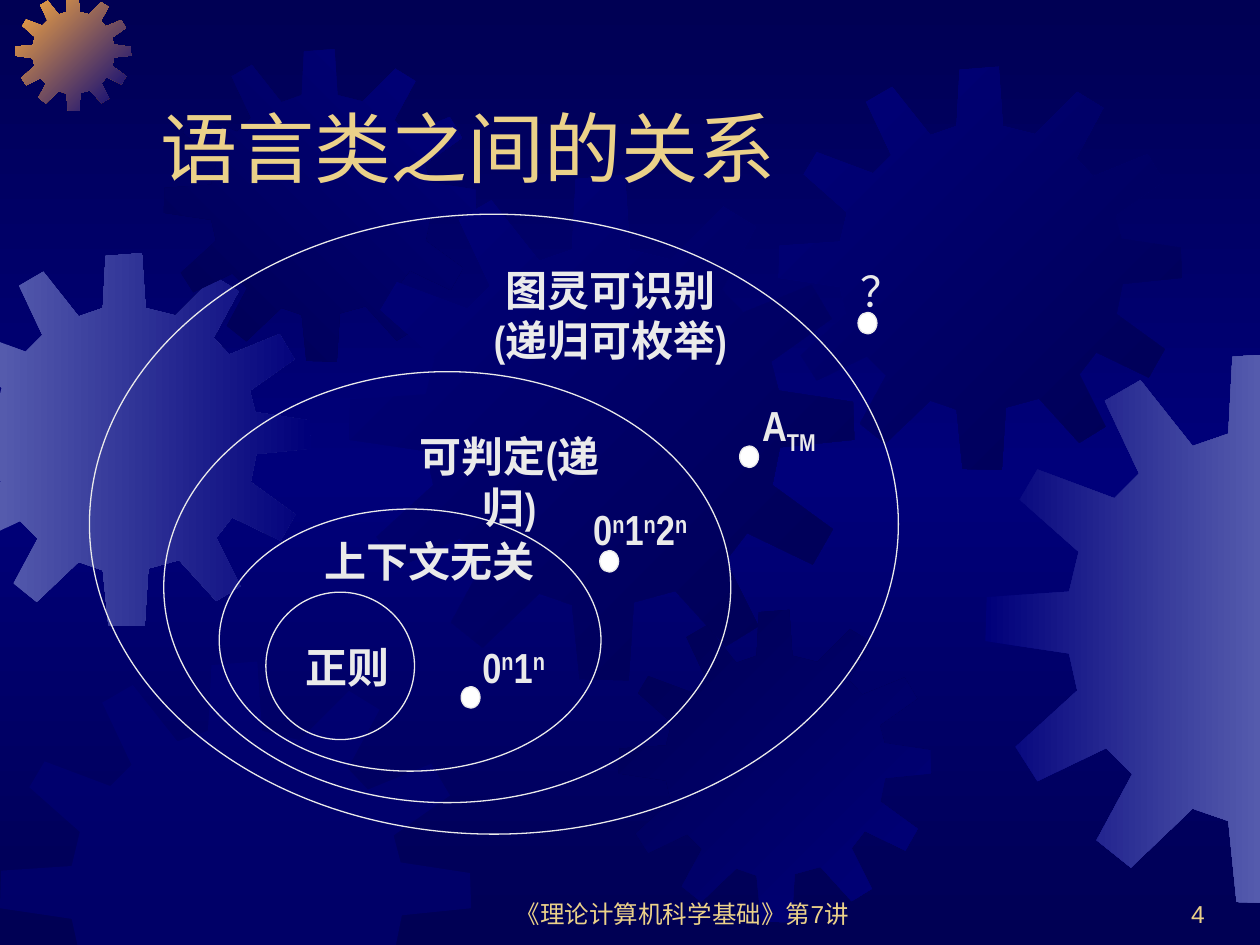
from copy import deepcopy
from pptx import Presentation
from pptx import util as u
from pptx.dml.color import RGBColor
from pptx.enum import shapes, text
from pptx.oxml import parse_xml
from pptx.oxml.ns import nsdecls

NAVY = RGBColor(0x00, 0x00, 0x54)
BLUE = RGBColor(0x00, 0x00, 0x7A)
STEEL = RGBColor(0x55, 0x5B, 0xAD)
ORANGE = RGBColor(0xFC, 0xAB, 0x40)
GOLD = RGBColor(0xEB, 0xD1, 0x89)
PALE = RGBColor(0xEA, 0xEA, 0xEA)
WHITE = RGBColor(0xFF, 0xFF, 0xFF)
LEFT, CENTER, RIGHT = text.PP_ALIGN.LEFT, text.PP_ALIGN.CENTER, text.PP_ALIGN.RIGHT

COLS, ROWS = 100, 75
prs = Presentation()
prs.slide_width, prs.slide_height = u.Inches(10), u.Inches(7.5)
UNIT = prs.slide_width // COLS
s = prs.slides.add_slide(prs.slide_layouts[5])

GEAR_SIZE = 401
GEAR = [
    (255, 67), (223, 59), (219, 0), (180, 3), (177, 59), (151, 68), (113, 20), (87, 35),
    (112, 88), (94, 106), (38, 85), (25, 107), (68, 145), (61, 174), (1, 178), (0, 210),
    (61, 219), (67, 246), (22, 287), (38, 312), (88, 288), (107, 307), (81, 355), (106, 375),
    (151, 332), (177, 341), (183, 400), (222, 401), (226, 339), (259, 330), (299, 374), (325, 358),
    (299, 306), (316, 284), (368, 309), (384, 281), (336, 246), (342, 216), (401, 210), (400, 180),
    (341, 171), (335, 148), (383, 114), (367, 87), (313, 109), (296, 91), (323, 41), (297, 25),
]


def clip(points, axis, limit, side):
    kept = []
    for a, b in zip(points, points[1:] + points[:1]):
        a_in, b_in = (side * (q[axis] - limit) >= 0 for q in (a, b))
        if a_in:
            kept.append(a)
        if a_in != b_in:
            t = (limit - a[axis]) / (b[axis] - a[axis])
            kept.append(tuple(m + t * (n - m) for m, n in zip(a, b)))
    return kept


def add_text(x, y, w, h, lines, size=24, font="Arial Narrow", color=PALE, bold=True,
             align=LEFT, anchor=text.MSO_ANCHOR.TOP):
    tf = s.shapes.add_textbox(*(round(v * UNIT) for v in (x, y, w, h))).text_frame
    tf.word_wrap = True
    tf.vertical_anchor = anchor
    for i, line in enumerate(lines):
        p = tf.add_paragraph() if i else tf.paragraphs[0]
        p.alignment = align
        p.font.size, p.font.name, p.font.bold = u.Pt(size), font, bold
        p.font.color.rgb = color
        for part, baseline in line:
            r = p.add_run()
            r.text = part
            if baseline:
                r.font._element.set("baseline", str(baseline * 1000))


bg = s.background.fill
bg.gradient()
bg.gradient_angle = 270
stop_list = s._element.xpath("./p:cSld/p:bg//a:gsLst")[0]
stop_list.insert(1, deepcopy(stop_list[0]))
for stop, color, position in zip(bg.gradient_stops, (NAVY, BLUE, NAVY), (0, 0.5, 1)):
    stop.color.rgb, stop.position = color, position

gears = [
    (-4.9, 20.1, 29.6, STEEL, BLUE, 0),
    (1.2, -0.4, 9.2, ORANGE, BLUE, 45),
    (13, 3.9, 24.8, NAVY, BLUE, 315),
    (27.7, 13.9, 40.1, BLUE, NAVY, 45),
    (0, 52.5, 37.4, BLUE, None, 0),
    (49.1, 48.4, 24.8, NAVY, BLUE, 45),
    (61.8, 5.3, 32, BLUE, NAVY, 45),
    (78.2, 28, 43.7, BLUE, STEEL, 0),
]
for x, y, size, start, end, angle in gears:
    outline = [(x + gx * size / GEAR_SIZE, y + gy * size / GEAR_SIZE) for gx, gy in GEAR]
    for axis, limit, side in ((0, 0, 1), (0, COLS, -1), (1, 0, 1), (1, ROWS, -1)):
        outline = clip(outline, axis, limit, side)
    outline = [(round(px * UNIT), round(py * UNIT)) for px, py in outline]
    fb = s.shapes.build_freeform(*outline[0])
    fb.add_line_segments(outline[1:], close=True)
    sp = fb.convert_to_shape()
    sp.shadow.inherit = False
    sp.line.fill.background()
    if end is None:
        sp.fill.solid()
        sp.fill.fore_color.rgb = start
        sp._element.xpath("./p:spPr/a:solidFill/a:srgbClr")[0].append(
            parse_xml(f'<a:alpha {nsdecls("a")} val="50000"/>'))
    else:
        sp.fill.gradient()
        sp.fill.gradient_angle = (360 - angle) % 360
        for stop, color, position in zip(sp.fill.gradient_stops, (start, end), (0, 1)):
            stop.color.rgb, stop.position = color, position

footer = dict(size=14, font="Arial", color=GOLD, bold=False, anchor=text.MSO_ANCHOR.BOTTOM)
add_text(38.3, 69.2, 31.7, 5, [[("《理论计算机科学基础》第7讲", 0)]], align=CENTER, **footer)
add_text(75.8, 69.2, 20.8, 5, [[("4", 0)]], align=RIGHT, **footer)

title = s.shapes.title
s.shapes._spTree.append(title._element)
title.left, title.top, title.width, title.height = (round(v * UNIT) for v in (11.7, 3.3, 85, 12.5))
title.text_frame.text = "语言类之间的关系"
title.text_frame.vertical_anchor = text.MSO_ANCHOR.BOTTOM
p = title.text_frame.paragraphs[0]
p.alignment = LEFT
p.font.size, p.font.name = u.Pt(44), "Arial"
p.font.color.rgb = GOLD

classes = [(7.1, 17, 64.2, 49.2), (13, 29.5, 45, 34.2), (17.4, 40.4, 30.3, 20.8), (21.1, 47, 11.8, 11.7)]
dots = [(x, y, 1.5, 1.7) for x, y in ((36.6, 54.5), (47.6, 43.7), (58.7, 35.4), (68.1, 24.8))]
for oval in classes + dots:
    sp = s.shapes.add_shape(shapes.MSO_SHAPE.OVAL, *(round(v * UNIT) for v in oval))
    sp.shadow.inherit = False
    sp.line.color.rgb, sp.line.width = PALE, u.Pt(0.75)
    if oval in dots:
        sp.fill.solid()
        sp.fill.fore_color.rgb = WHITE
    else:
        sp.fill.background()

add_text(23.3, 50.4, 9, 5, [[("正则", 0)]])
add_text(24.8, 42, 19.2, 5, [[("上下文无关", 0)]])
add_text(38.1, 20.5, 20.7, 9.1, [[("图灵可识别", 0)], [("(递归可枚举)", 0)]], align=CENTER)
add_text(30.3, 33.7, 20.3, 5, [[("可判定(递归)", 0)]], align=CENTER)
add_text(37.3, 50.4, 7.4, 5, [[("0", 0), ("n", 30), ("1", 0), ("n", 30)]])
add_text(46.1, 39.5, 11.2, 5, [[("0", 0), ("n", 30), ("1", 0), ("n", 30), ("2", 0), ("n", 30)]])
add_text(59.5, 31.2, 7.4, 5, [[("A", 0), ("TM", -25)]])
add_text(67.3, 20.6, 4.7, 5, [[("？", 0)]], font="Arial", bold=False)

prs.save("out.pptx")
